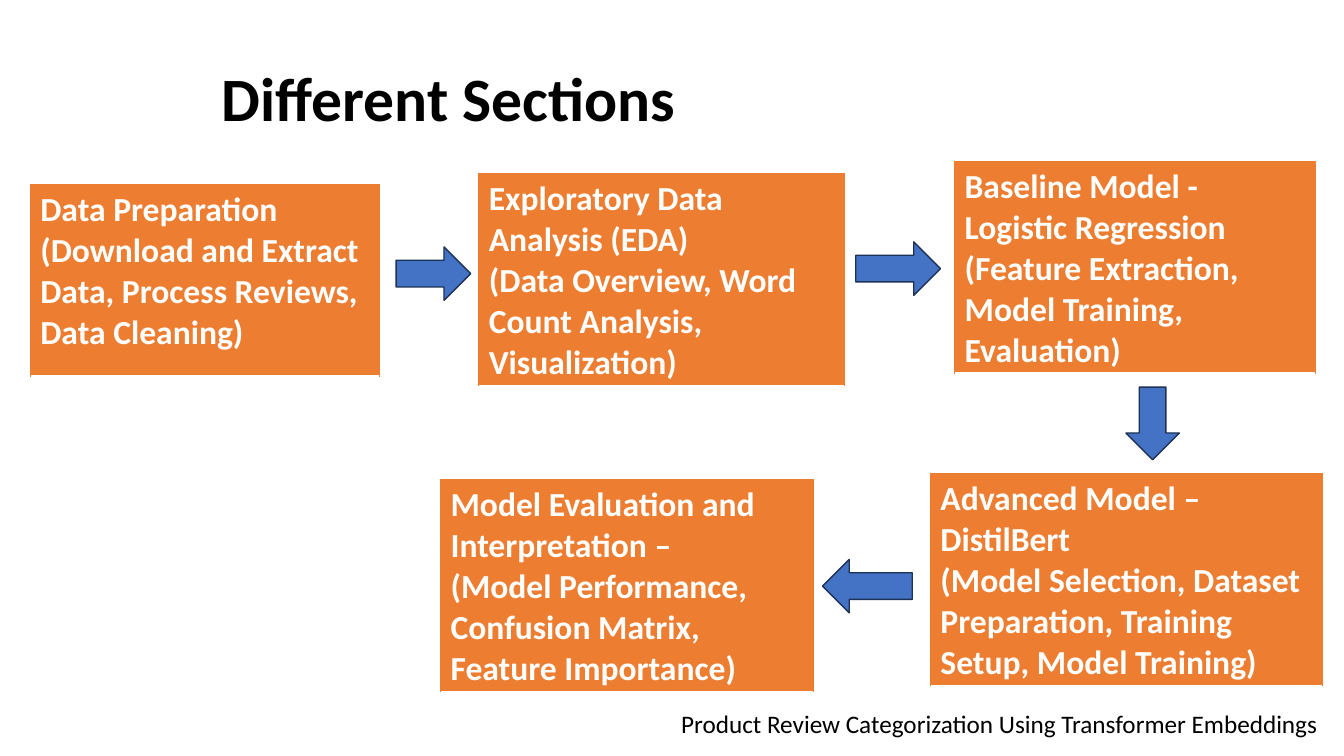
from lxml.etree import SubElement
from pptx import Presentation
from pptx.dml.color import RGBColor
from pptx.enum.shapes import MSO_SHAPE
from pptx.enum.text import MSO_ANCHOR
from pptx.oxml.ns import qn
from pptx.util import Emu, Inches, Pt

# Content: place is left, top, width, height in inches
TITLE = "Different Sections"
FOOTER = "Product Review Categorization Using Transformer Embeddings"
STAGES = [
    ((0.3, 1.83, 3.46, 1.9),
     ["Data Preparation (Download and Extract Data, Process Reviews, Data Cleaning)"]),
    ((4.75, 1.72, 3.63, 2.1),
     ["Exploratory Data Analysis (EDA)",
      "(Data Overview, Word Count Analysis, Visualization)"]),
    ((9.47, 1.6, 3.58, 2.1),
     ["Baseline Model - Logistic Regression",
      "(Feature Extraction, Model Training, Evaluation)"]),
    ((9.23, 4.7, 3.89, 2.1),
     ["Advanced Model – DistilBert",
      "(Model Selection, Dataset Preparation, Training Setup, Model Training)"]),
    ((4.37, 4.76, 3.7, 2.1),
     ["Model Evaluation and Interpretation –",
      "(Model Performance, Confusion Matrix, Feature Importance)"]),
]
ARROWS = [
    (MSO_SHAPE.RIGHT_ARROW, (3.93, 2.45, 0.74, 0.53)),
    (MSO_SHAPE.RIGHT_ARROW, (8.49, 2.4, 0.84, 0.53)),
    (MSO_SHAPE.DOWN_ARROW, (11.17, 3.84, 0.53, 0.72)),
    (MSO_SHAPE.LEFT_ARROW, (8.16, 5.55, 0.89, 0.53)),
]

# Formats
ORANGE, BLUE, NAVY, WHITE, BLACK = "ED7D31", "4472C4", "1E3256", "FFFFFF", "000000"
HEAD = {"size": Pt(44), "bold": True, "name": "Calibri"}
BODY = {"size": Pt(24), "bold": True, "name": "Calibri"}
FOOT = {"size": Pt(18), "bold": False, "name": "Calibri"}
EDGES = [("L", ORANGE, 0.5), ("R", ORANGE, 0.5), ("T", ORANGE, 0.5), ("B", WHITE, 1)]


def color(code):
    return RGBColor.from_string(code)


def paint(fill, code):
    fill.solid()
    fill.fore_color.rgb = color(code)


def write(frame, lines, style, code):
    for i, line in enumerate(lines):
        para = frame.paragraphs[0] if i == 0 else frame.add_paragraph()
        run = para.add_run()
        run.text = line
        for key, value in style.items():
            setattr(run.font, key, value)
        run.font.color.rgb = color(code)


def add_text(slide, place, text, style):
    frame = slide.shapes.add_textbox(*map(Inches, place)).text_frame
    frame.word_wrap = True
    write(frame, [text], style, BLACK)
    return frame


def add_edges(cell):
    props = cell._tc.get_or_add_tcPr()
    for i, (side, code, width) in enumerate(EDGES):
        line = SubElement(props, qn("a:ln" + side), w=str(Pt(width)))
        fill = SubElement(line, qn("a:solidFill"))
        SubElement(fill, qn("a:srgbClr"), val=code)
        props.insert(i, line)


def add_stage(slide, place, lines):
    table = slide.shapes.add_table(1, 1, *map(Inches, place)).table
    table.first_row = table.horz_banding = False
    cell = table.cell(0, 0)
    write(cell.text_frame, lines, BODY, WHITE)
    paint(cell.fill, ORANGE)
    add_edges(cell)


def add_arrow(slide, kind, place):
    arrow = slide.shapes.add_shape(kind, *map(Inches, place))
    arrow.shadow.inherit = False
    paint(arrow.fill, BLUE)
    arrow.line.color.rgb = color(NAVY)
    arrow.line.width = Pt(1)


def main():
    deck = Presentation()
    deck.slide_width, deck.slide_height = Emu(12192000), Inches(7.5)
    slide = deck.slides.add_slide(deck.slide_layouts[6])
    paint(slide.background.fill, WHITE)

    # Title and footer
    head = add_text(slide, (2.1, 0.44, 6.77, 1.13), TITLE, HEAD)
    head.vertical_anchor = MSO_ANCHOR.MIDDLE
    head.paragraphs[0].line_spacing = 0.9
    add_text(slide, (6.66, 6.98, 6.67, 0.4), FOOTER, FOOT)

    # Flow of stages
    for place, lines in STAGES:
        add_stage(slide, place, lines)
    for kind, place in ARROWS:
        add_arrow(slide, kind, place)

    deck.save("out.pptx")


if __name__ == "__main__":
    main()
